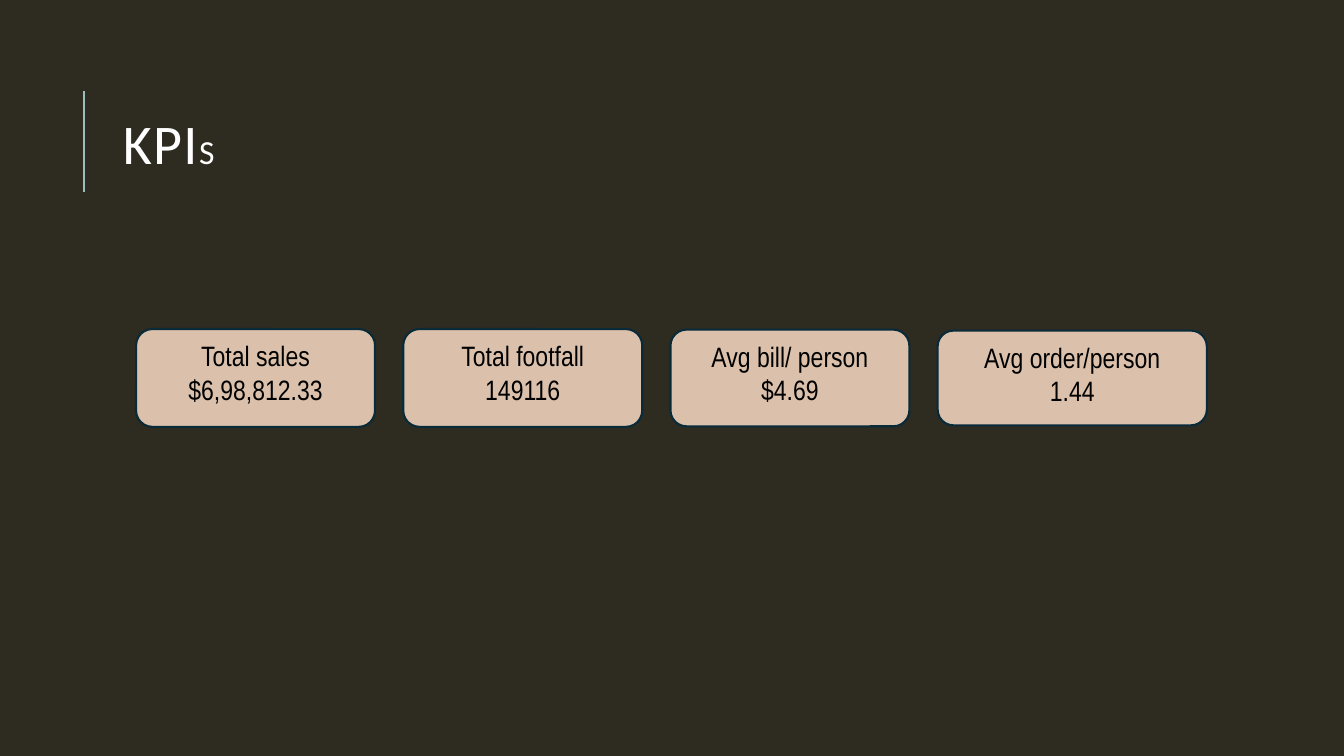
"""Build a dark KPI slide with a title and a row of four metric cards."""
from lxml.etree import SubElement
from pptx import Presentation
from pptx.dml.color import RGBColor
from pptx.enum.shapes import MSO_CONNECTOR as Connector, MSO_SHAPE as Shape
from pptx.enum.text import MSO_ANCHOR as Anchor, PP_ALIGN as Align
from pptx.oxml.ns import qn
from pptx.util import Inches, Pt

BACKGROUND = RGBColor(0x2E, 0x2B, 0x21)
ACCENT = RGBColor(0x9C, 0xBE, 0xBD)
WHITE = RGBColor(0xFF, 0xFF, 0xFF)
BLACK = RGBColor(0x00, 0x00, 0x00)
CARD_FILL = RGBColor(0xDB, 0xC1, 0xAC)
CARD_LINE = RGBColor(0x09, 0x2A, 0x39)

CARD_LEFT, CARD_PITCH, CARD_MIDDLE = 1.35, 2.65, 3.75
CARDS = [
    ("Total sales", "$6,98,812.33", 2.37, 0.97),
    ("Total footfall", "149116", 2.37, 0.97),
    ("Avg bill/ person", "$4.69", 2.37, 0.96),
    ("Avg order/person", "1.44", 2.67, 0.94),
]

deck = Presentation()
deck.slide_width, deck.slide_height = Inches(13.33), Inches(7.5)
page = deck.slides.add_slide(deck.slide_layouts[6])
page.background.fill.solid()
page.background.fill.fore_color.rgb = BACKGROUND

rule = page.shapes.add_connector(
    Connector.STRAIGHT, Inches(0.83), Inches(1.9), Inches(0.83), Inches(0.9))
rule.line.color.rgb = ACCENT
rule.line.width = Pt(1.5)
SubElement(rule.element.spPr, qn("a:effectLst"))

title = page.shapes.add_textbox(Inches(1.12), Inches(0.52), Inches(4.8), Inches(1.9))
title.text_frame.word_wrap = True
title.text_frame.vertical_anchor = Anchor.MIDDLE
para = title.text_frame.paragraphs[0]
para.line_spacing = 0.8
para.font.name = "Calibri"
para.font.color.rgb = WHITE
for text, size in (("KPI", 40), ("S", 24)):
    span = para.add_run()
    span.text = text
    span.font.size = Pt(size)
    span.font.element.set("spc", "100") if hasattr(span.font, "element") else span._r.get_or_add_rPr().set("spc", "100")

for column, (label, value, width, height) in enumerate(CARDS):
    card = page.shapes.add_shape(
        Shape.ROUNDED_RECTANGLE,
        Inches(CARD_LEFT + column * CARD_PITCH), Inches(CARD_MIDDLE - height / 2),
        Inches(width), Inches(height))
    card.shadow.inherit = False
    card.fill.solid()
    card.fill.fore_color.rgb = CARD_FILL
    card.line.color.rgb = CARD_LINE
    card.line.width = Pt(1.5)
    frame = card.text_frame
    frame.word_wrap = True
    frame.vertical_anchor = Anchor.TOP
    frame.text = f"{label}\n{value}"
    for para in frame.paragraphs:
        para.alignment = Align.CENTER
        para.font.name = "Arial Narrow"
        para.font.size = Pt(20)
        para.font.color.rgb = BLACK

deck.save("out.pptx")
